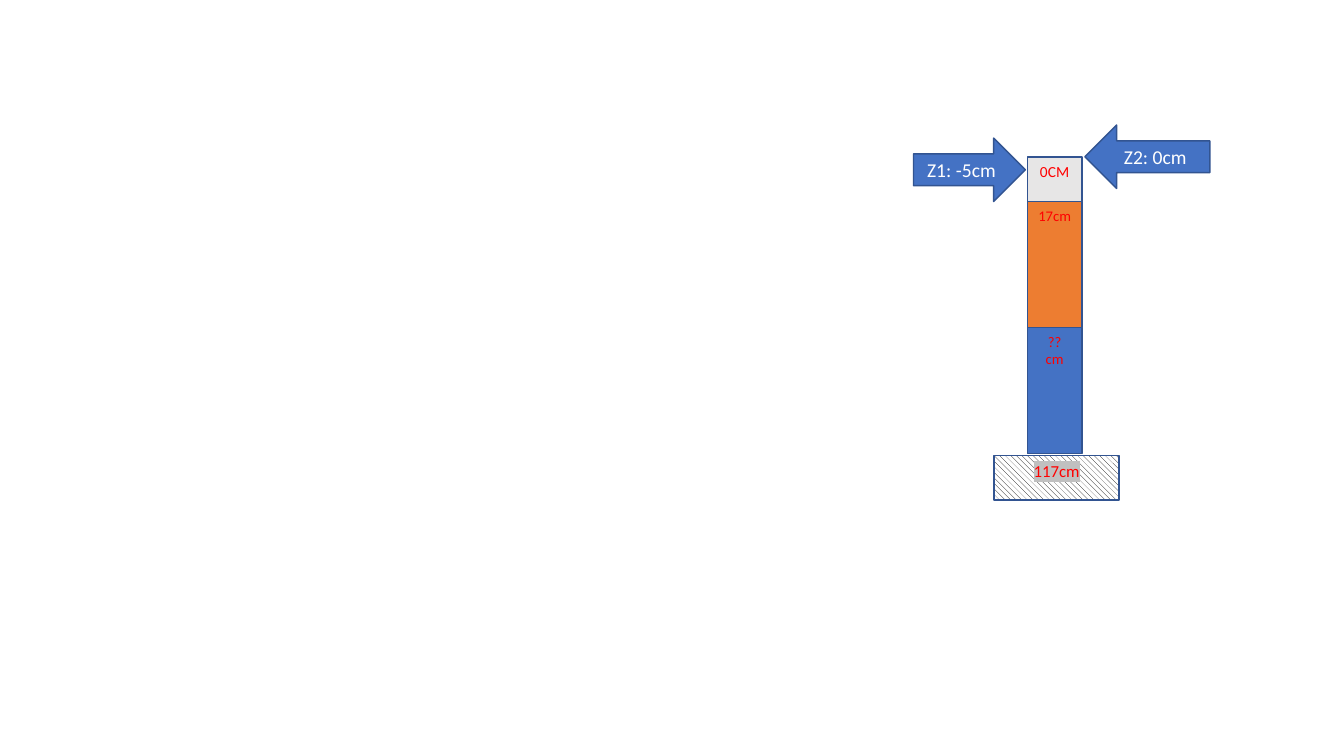
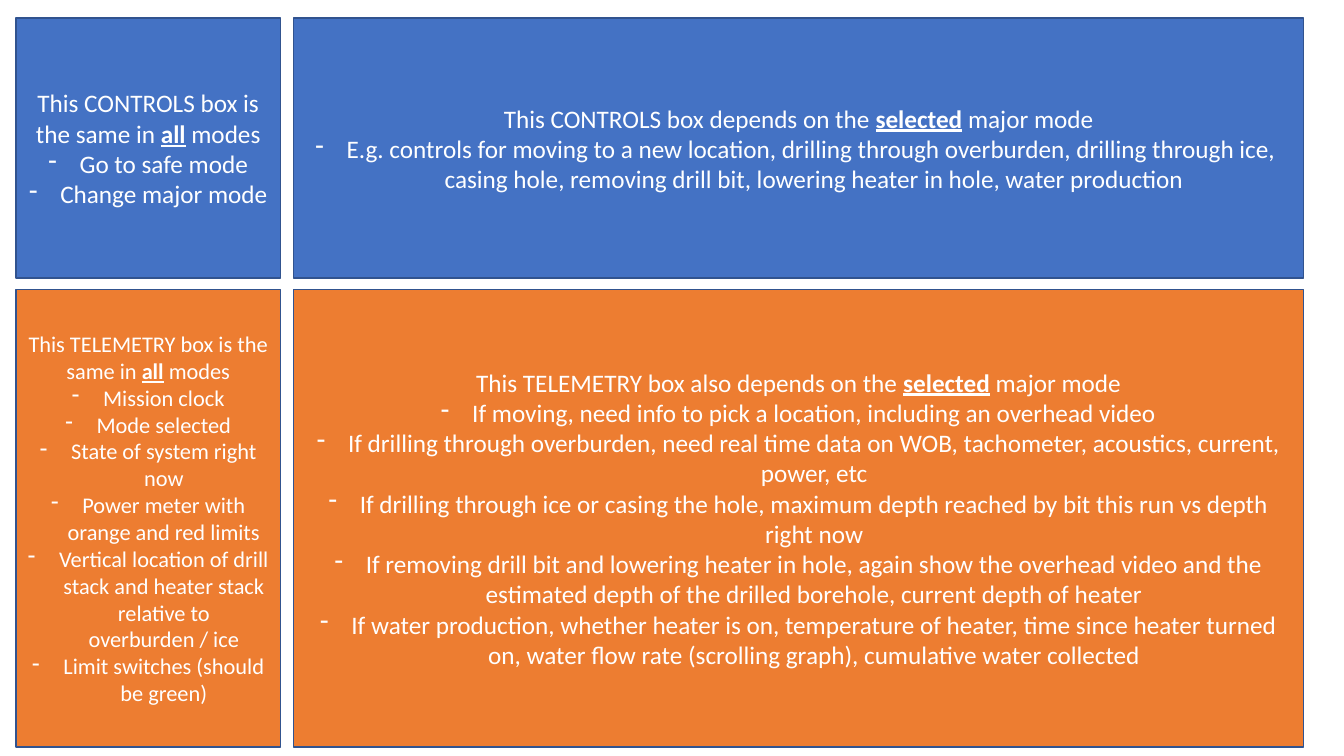
from lxml import etree
from pptx import Presentation
from pptx.dml.color import RGBColor
from pptx.enum.dml import MSO_PATTERN
from pptx.enum.shapes import MSO_SHAPE as SHAPE
from pptx.enum.text import MSO_ANCHOR as ANCHOR, PP_ALIGN
from pptx.oxml.ns import qn
from pptx.util import Inches, Pt

FONT = "Calibri"
COLORS = {
    "blue": "4472C4", "orange": "ED7D31", "gray": "E7E6E6",
    "white": "FFFFFF", "black": "000000", "red": "FF0000",
    "stack_line": "325491", "box_line": "31538F", "highlight": "C0C0C0",
}

STACK_LEFT, STACK_TOP, STACK_WIDTH = 10.19, 1.56, 0.54
LAYERS = [
    ("0CM", 0.44, "gray", 11),
    ("17cm", 1.25, "orange", 10.5),
    ("?? cm", 1.25, "blue", 10.5),
]
ARROWS = [
    ("Z1: -5cm", SHAPE.RIGHT_ARROW, (9.06, 1.37, 1.11, 0.63)),
    ("Z2: 0cm", SHAPE.LEFT_ARROW, (10.76, 1.24, 1.24, 0.63)),
]
BASE = ("117cm", (9.86, 4.52, 1.24, 0.44))

COLUMNS = [(0.16, 2.62), (2.91, 10.02)]
ROWS = [(0.18, 2.58, "blue"), (2.87, 4.54, "orange")]
BOXES = [
    [
        (18, ("This CONTROLS box is the same in ", "all", " modes"),
         ["Go to safe mode", "Change major mode"]),
        (18, ("This CONTROLS box depends on the ", "selected", " major mode"),
         ["E.g. controls for moving to a new location, drilling through overburden, "
          "drilling through ice, \vcasing hole, removing drill bit, "
          "lowering heater in hole, water production"]),
    ],
    [
        (16, ("This TELEMETRY box is the same in ", "all", " modes"),
         ["Mission clock",
          "Mode selected",
          "State of system right now",
          "Power meter with orange and red limits",
          "Vertical location of drill stack and heater stack relative to overburden / ice",
          "Limit switches (should be green)"]),
        (18, ("This TELEMETRY box also depends on the ", "selected", " major mode"),
         ["If moving, need info to pick a location, including an overhead video",
          "If drilling through overburden, need real time data on WOB, tachometer, "
          "acoustics, current, power, etc",
          "If drilling through ice or casing the hole, maximum depth reached by bit "
          "this run vs depth right now",
          "If removing drill bit and lowering heater in hole, again show the overhead "
          "video and the estimated depth of the drilled borehole, current depth of heater",
          "If water production, whether heater is on, temperature of heater, time since "
          "heater turned on, water flow rate (scrolling graph), cumulative water collected"]),
    ],
]


def rgb(name):
    return RGBColor.from_string(COLORS[name])


def add_block(shapes, kind, box, fill, line, anchor=ANCHOR.MIDDLE):
    sp = shapes.add_shape(kind, *map(Inches, box))
    sp.shadow.inherit = False
    sp.fill.solid()
    sp.fill.fore_color.rgb = rgb(fill)
    sp.line.color.rgb = rgb(line)
    sp.line.width = Pt(1)
    tf = sp.text_frame
    tf.word_wrap = True
    tf.vertical_anchor = anchor
    return sp


def style_text(tf, size, color):
    for p in tf.paragraphs:
        p.alignment = PP_ALIGN.CENTER
        for r in p.runs:
            r.font.name = FONT
            r.font.size = Pt(size)
            r.font.color.rgb = rgb(color)


def add_label(shapes, text, kind, box, fill, size, color, anchor):
    sp = add_block(shapes, kind, box, fill, "stack_line", anchor)
    sp.text_frame.text = text
    style_text(sp.text_frame, size, color)
    return sp


def highlight(r, color):
    mark = etree.Element(qn("a:highlight"))
    etree.SubElement(mark, qn("a:srgbClr"), val=COLORS[color])
    r.font.fill
    r._r.get_or_add_rPr().find(qn("a:latin")).addprevious(mark)


def add_dash(p):
    pPr = p._p.get_or_add_pPr()
    pPr.set("marL", str(Inches(0.31)))
    pPr.set("indent", str(Inches(-0.31)))
    etree.SubElement(pPr, qn("a:buChar"), char="-")


def build_stack(slide):
    shapes = slide.shapes.add_group_shape().shapes
    top = STACK_TOP
    for text, height, fill, size in LAYERS:
        add_label(shapes, text, SHAPE.RECTANGLE, (STACK_LEFT, top, STACK_WIDTH, height),
                  fill, size, "red", ANCHOR.TOP)
        top += height
    for text, kind, box in ARROWS:
        add_label(shapes, text, kind, box, "blue", 14, "white", ANCHOR.MIDDLE)
    text, box = BASE
    base = add_label(shapes, text, SHAPE.RECTANGLE, box, "white", 12, "red", ANCHOR.TOP)
    base.fill.patterned()
    base.fill.pattern = MSO_PATTERN.WIDE_DOWNWARD_DIAGONAL
    base.fill.fore_color.rgb = rgb("black")
    base.fill.back_color.rgb = rgb("white")
    highlight(base.text_frame.paragraphs[0].runs[0], "highlight")


def build_boxes(slide):
    for (top, height, fill), row in zip(ROWS, BOXES):
        for (left, width), (size, heading, bullets) in zip(COLUMNS, row):
            sp = add_block(slide.shapes, SHAPE.RECTANGLE, (left, top, width, height),
                           fill, "box_line")
            tf = sp.text_frame
            for i, part in enumerate(heading):
                r = tf.paragraphs[0].add_run()
                r.text = part
                r.font.bold = r.font.underline = i == 1
            for bullet in bullets:
                p = tf.add_paragraph()
                p.text = bullet
                add_dash(p)
            style_text(tf, size, "white")


def main():
    prs = Presentation()
    prs.slide_width, prs.slide_height = Inches(13.33), Inches(7.5)
    for build in (build_stack, build_boxes):
        build(prs.slides.add_slide(prs.slide_layouts[6]))
    prs.save("out.pptx")


if __name__ == "__main__":
    main()
